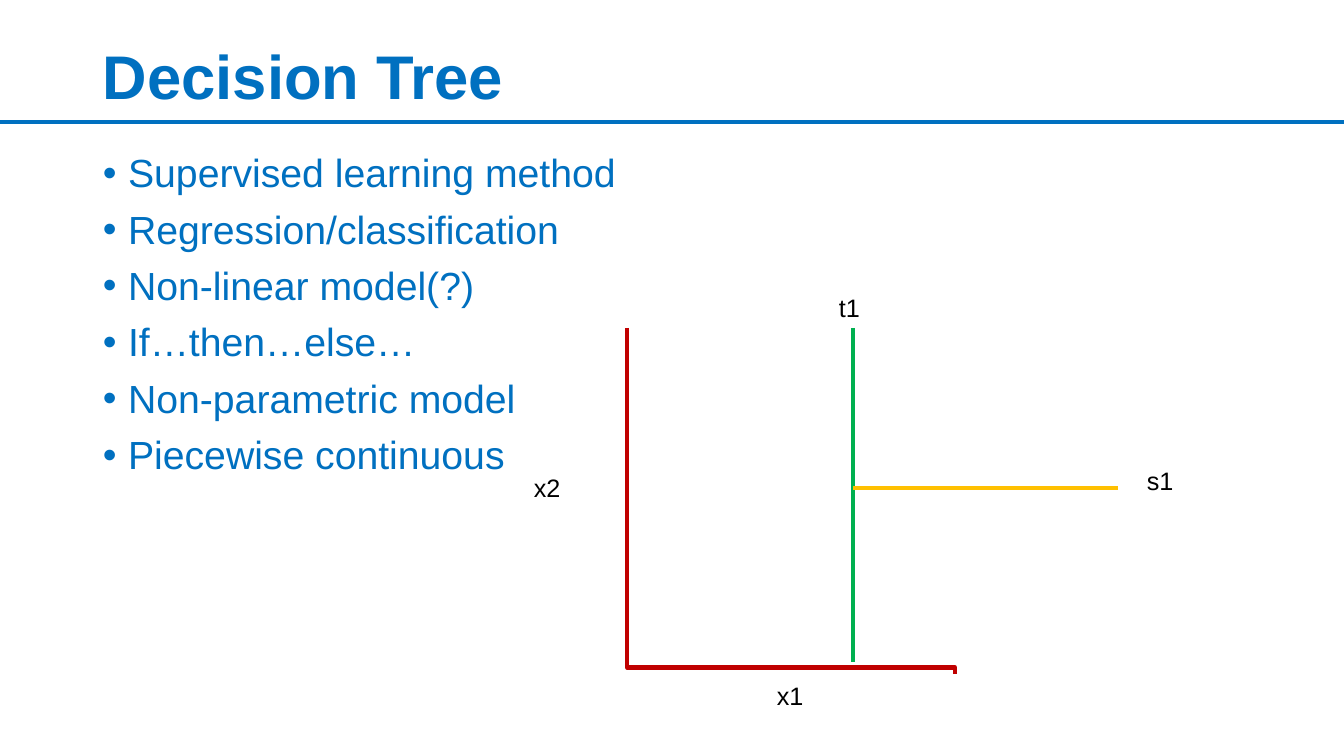
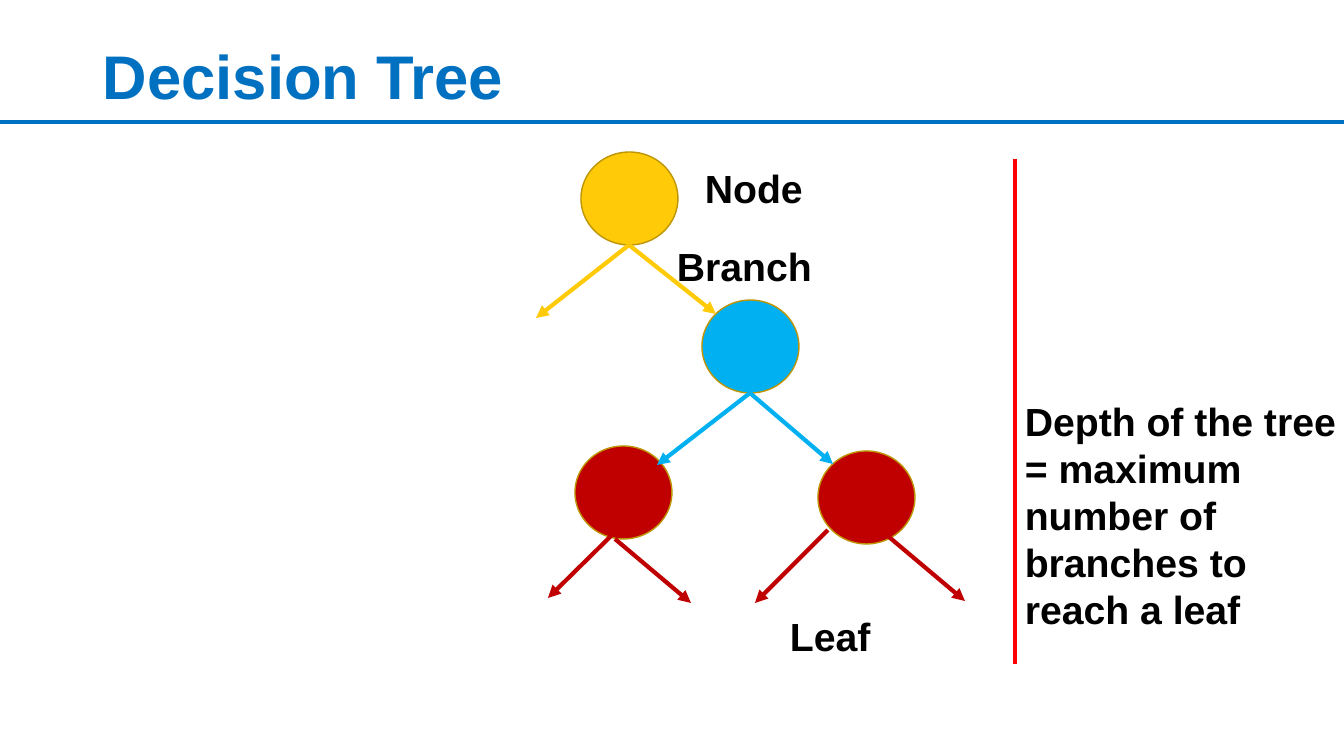
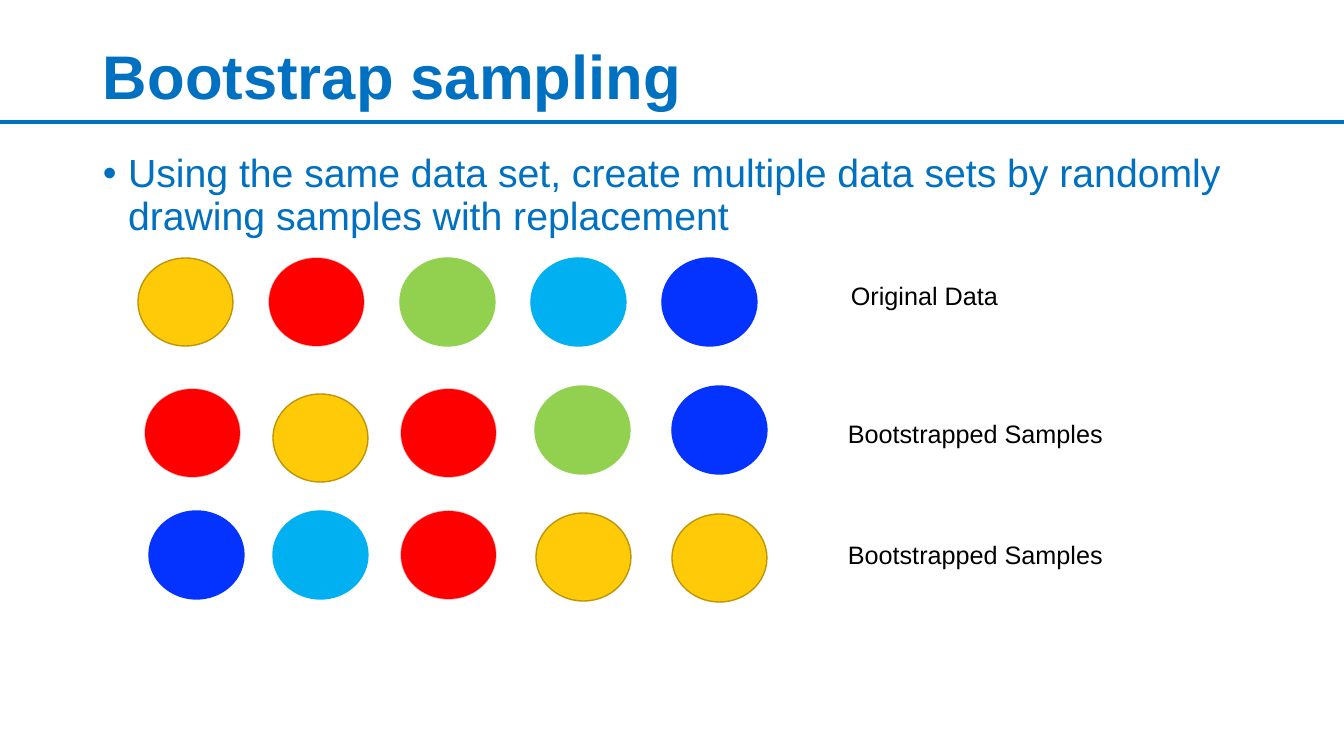
from collections import namedtuple

from lxml import etree
from pptx import Presentation
from pptx.dml.color import RGBColor
from pptx.enum.shapes import MSO_CONNECTOR, MSO_SHAPE
from pptx.enum.text import MSO_ANCHOR, MSO_AUTO_SIZE
from pptx.oxml.ns import qn
from pptx.util import Pt

STRAIGHT, ELBOW = MSO_CONNECTOR.STRAIGHT, MSO_CONNECTOR.ELBOW
ELLIPSE = MSO_SHAPE.OVAL
MIDDLE, TOP = MSO_ANCHOR.MIDDLE, MSO_ANCHOR.TOP
GROW, FIXED = MSO_AUTO_SIZE.SHAPE_TO_FIT_TEXT, MSO_AUTO_SIZE.NONE

BLUE = RGBColor(0x00, 0x70, 0xC0)
SKY = RGBColor(0x00, 0xB0, 0xF0)
ROYAL = RGBColor(0x04, 0x32, 0xFF)
GOLD = RGBColor(0xFF, 0xCA, 0x08)
GOLD_EDGE = RGBColor(0xBD, 0x95, 0x06)
AMBER = RGBColor(0xFF, 0xC0, 0x00)
RED = RGBColor(0xFF, 0x00, 0x00)
DARK_RED = RGBColor(0xC0, 0x00, 0x00)
GREEN = RGBColor(0x00, 0xB0, 0x50)
LIME = RGBColor(0x92, 0xD0, 0x50)
BLACK = RGBColor(0x00, 0x00, 0x00)

PIXEL = 914400 / 100.8
WIDTH, HEIGHT = 1344, 756
Box = namedtuple("Box", "left top width height")

TITLE_BOX = Box(93, 40, 1159, 79)
BODY_BOX = Box(93, 149, 1159, 524)
TITLE = {"size": Pt(44), "bold": True, "name": "Arial", "color": BLUE}
BODY = {"size": Pt(28), "bold": False, "name": "Arial", "color": BLUE}
SMALL = {"size": Pt(18), "bold": False, "name": "Arial", "color": BLACK}
STRONG = {"size": Pt(28), "bold": True, "name": "Arial", "color": BLACK}
TIGHT = {"line_spacing": 0.9}
LISTED = {"line_spacing": 0.9, "space_before": Pt(10)}


def emu(pixels):
    """Turn pixels into EMU."""
    return round(pixels * PIXEL)


def inside(box, left, top, width, height):
    """Return a box whose corner is offset from the corner of another."""
    return Box(box.left + left, box.top + top, width, height)


def apply(target, values):
    """Set attributes of a target from a dict."""
    for name, value in values.items():
        setattr(target, name, value)


def add_text(slide, box, lines, font, spacing=None, bullet=False,
             wrap=True, anchor=TOP, fit=FIXED):
    """Add a text box with one paragraph per line."""
    frame = slide.shapes.add_textbox(*map(emu, box)).text_frame
    apply(frame, {"word_wrap": wrap, "auto_size": fit,
                  "vertical_anchor": anchor})
    for index, line in enumerate(lines):
        paragraph = frame.add_paragraph() if index else frame.paragraphs[0]
        apply(paragraph, spacing or {})
        run = paragraph.add_run()
        run.text = line
        apply(run.font, {key: font[key] for key in ("size", "bold", "name")})
        run.font.color.rgb = font["color"]
        if bullet:
            properties = paragraph._p.get_or_add_pPr()
            properties.set("marL", "228600")
            properties.set("indent", "-228600")
            etree.SubElement(properties, qn("a:buFont"), typeface="Arial")
            etree.SubElement(properties, qn("a:buChar"), char="•")


def add_label(slide, box, text, font=SMALL, wrap=False):
    """Add a caption whose box fits its text."""
    add_text(slide, box, [text], font, wrap=wrap, fit=GROW)


def add_line(slide, box, start, end, color, arrow=False, kind=STRAIGHT):
    """Add a connector between two points given relative to a box."""
    points = [emu(corner + offset) for point in (start, end)
              for corner, offset in zip(box[:2], point)]
    connector = slide.shapes.add_connector(kind, *points)
    connector.line.color.rgb = color
    connector.line.width = Pt(3)
    properties = connector._element.spPr
    if arrow:
        etree.SubElement(connector.line._get_or_add_ln(), qn("a:tailEnd"),
                         type="triangle")
    etree.SubElement(properties, qn("a:effectLst"))
    return connector


def add_circle(slide, box, fill, edge, edge_opacity=100):
    """Add a filled ellipse with a thin outline."""
    circle = slide.shapes.add_shape(ELLIPSE, *map(emu, box))
    circle.shadow.inherit = False
    circle.fill.solid()
    circle.fill.fore_color.rgb = fill
    circle.line.color.rgb = edge
    circle.line.width = Pt(1)
    if edge_opacity < 100:
        color = circle.line._get_or_add_ln().find(".//" + qn("a:srgbClr"))
        etree.SubElement(color, qn("a:alpha"), val=str(edge_opacity * 1000))


def add_titled_slide(presentation, title):
    """Add a blank slide with the shared title and rule."""
    slide = presentation.slides.add_slide(presentation.slide_layouts[6])
    add_line(slide, Box(0, 122, WIDTH, 0), (0, 0), (WIDTH, 0), BLUE)
    add_text(slide, TITLE_BOX, [title], TITLE, TIGHT, anchor=MIDDLE)
    return slide


def add_bullets(slide, lines):
    """Add the bulleted body text."""
    add_text(slide, BODY_BOX, lines, BODY, LISTED, bullet=True)


def draw_partition(slide, box):
    """Draw the feature plane split at t1 and s1."""
    axes = add_line(slide, box, (440, 50), (94, 378), DARK_RED, kind=ELBOW)
    properties = axes._element.spPr
    properties.find(qn("a:xfrm")).set("rot", str(270 * 60000))
    geometry = properties.find(qn("a:prstGeom"))
    adjustments = geometry.find(qn("a:avLst"))
    if adjustments is None:
        adjustments = etree.SubElement(geometry, qn("a:avLst"))
    etree.SubElement(adjustments, qn("a:gd"), name="adj1", fmla="val 98100")
    add_line(slide, box, (329, 41), (329, 375), GREEN)
    add_line(slide, box, (329, 201), (594, 201), AMBER)
    for text, left, top, width in (("x2", 0, 180, 47), ("x1", 243, 388, 47),
                                   ("t1", 305, 0, 41), ("s1", 613, 173, 47)):
        add_label(slide, inside(box, left, top, width, 40), text)


def draw_tree(slide, box):
    """Draw the nodes, branches and captions of the tree."""
    nodes = ((45, 0, GOLD), (166, 148, SKY),
             (39, 294, DARK_RED), (282, 299, DARK_RED))
    branches = (
        ((93, 93), (0, 166), GOLD), ((93, 93), (180, 162), GOLD),
        ((214, 241), (121, 313), SKY), ((214, 241), (297, 312), SKY),
        ((76, 383), (12, 446), DARK_RED), ((79, 387), (155, 451), DARK_RED),
        ((353, 385), (429, 449), DARK_RED), ((292, 378), (219, 451), DARK_RED))
    captions = (("Node", 159, 7, 122), ("Branch", 131, 85, 165),
                ("Leaf", 244, 455, 165))
    for left, top, color in nodes:
        add_circle(slide, inside(box, left, top, 97, 93), color, GOLD_EDGE)
    for start, end, color in branches:
        add_line(slide, box, start, end, color, arrow=True)
    for text, left, top, width in captions:
        add_label(slide, inside(box, left, top, width, 57), text, STRONG, True)


def draw_depth_note(slide, box):
    """Draw the depth bar with its explanation."""
    add_line(slide, box, (0, 0), (0, box.height), RED)
    add_label(slide, inside(box, 0, 233, box.width, 248),
              "Depth of the tree = maximum number of branches to reach a leaf",
              STRONG, True)


def draw_sample_row(slide, box, colors, lefts, tops, caption):
    """Draw one row of samples and its caption box."""
    for color, left, top in zip(colors, lefts, tops):
        add_circle(slide, inside(box, left, top, 95, 88), color,
                   GOLD_EDGE if color == GOLD else color,
                   33 if color == RED else 100)
    text, left, top, width = caption
    add_label(slide, inside(box, left, top, width, 40), text)


def build_method_slide(presentation):
    """Build the overview of the method."""
    slide = add_titled_slide(presentation, "Decision Tree")
    add_bullets(slide, ["Supervised learning method",
                        "Regression/classification", "Non-linear model(?)",
                        "If…then…else…", "Non-parametric model",
                        "Piecewise continuous"])
    draw_partition(slide, Box(524, 287, 660, 428))


def build_tree_slide(presentation):
    """Build the anatomy of a tree."""
    slide = add_titled_slide(presentation, "Decision Tree")
    draw_tree(slide, Box(536, 152, 429, 512))
    draw_depth_note(slide, Box(1015, 159, 337, 505))


def build_bootstrap_slide(presentation):
    """Build the sampling example."""
    slide = add_titled_slide(presentation, "Bootstrap sampling")
    add_bullets(slide, ["Using the same data set, create multiple data sets "
                        "by randomly drawing samples with replacement"])
    resampled = "Bootstrapped Samples"
    rows = (
        (258, (GOLD, RED, LIME, SKY, ROYAL),
         [131 * column for column in range(5)], [0] * 5,
         ("Original Data", 703, 17, 168)),
        (386, (RED, GOLD, RED, LIME, ROYAL),
         (7, 135, 263, 397, 534), (3, 8, 3, 0, 0), (resampled, 700, 27, 277)),
        (511, (ROYAL, SKY, RED, GOLD, GOLD),
         (11, 135, 263, 398, 534), (0, 0, 0, 2, 3), (resampled, 700, 23, 277)))
    for top, *row in rows:
        draw_sample_row(slide, Box(138, top, 977, 96), *row)


def main():
    """Build and save the presentation."""
    presentation = Presentation()
    apply(presentation, {"slide_width": emu(WIDTH),
                         "slide_height": emu(HEIGHT)})
    build_method_slide(presentation)
    build_tree_slide(presentation)
    build_bootstrap_slide(presentation)
    presentation.save("out.pptx")


main()
